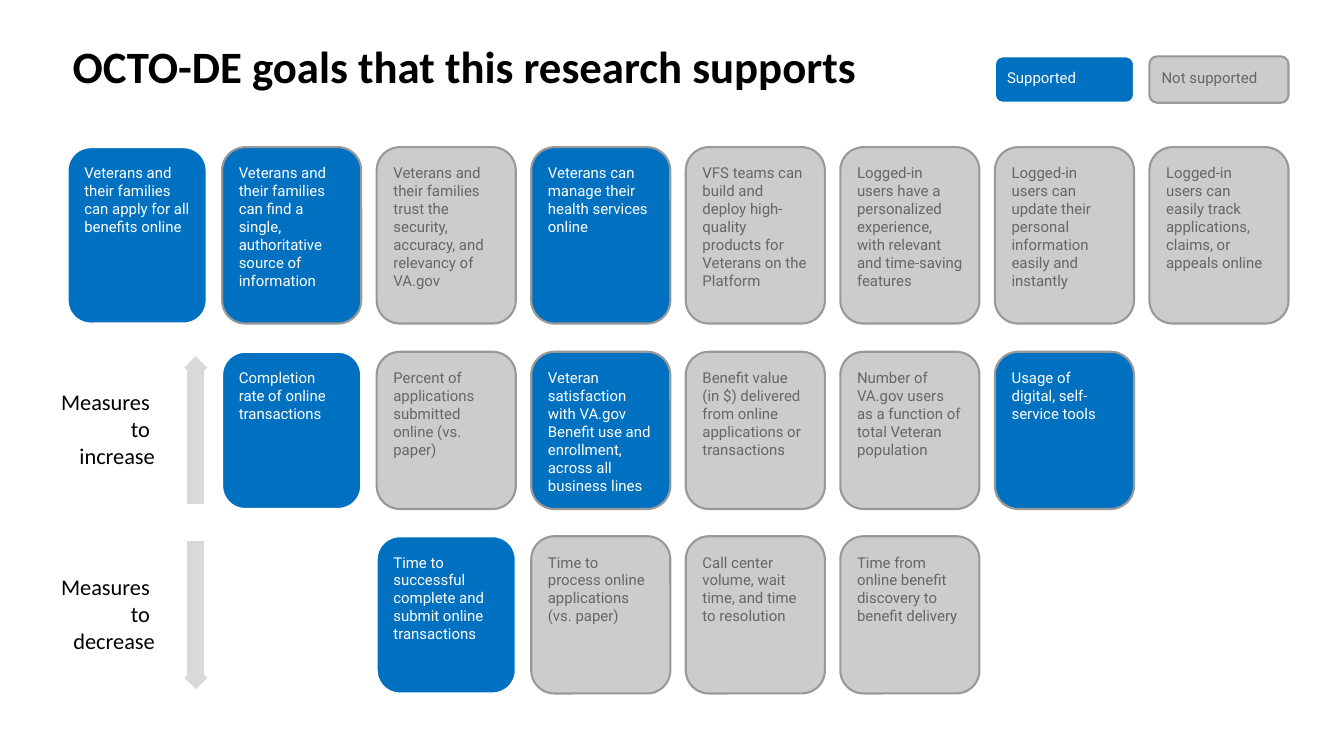
import copy

import pptx
import pptx.dml.color
import pptx.enum.shapes
import pptx.enum.text
import pptx.oxml.ns
import pptx.util

COLORS = {"blue": "0070C0", "white": "FFFFFF", "grey": "CCCCCC", "outline": "999999",
          "muted": "666666", "arrow": "D9D9D9", "black": "000000"}

# Card states: fill, line, text
STATES = {"supported": ("blue", "white", "white"),
          "outlined": ("blue", "outline", "white"),
          "unsupported": ("grey", "outline", "muted")}

# Grid: eight columns, and named rows as (top, height) in inches
LEFT, PITCH, CARD_WIDTH = 0.67, (11.4 - 0.67) / 7, 1.38
ROWS = {"title": (0.33, 0.92), "legend": (0.56, 0.46), "goals": (1.46, 1.75),
        "increase": (3.49, 1.56), "decrease": (5.32, 1.56)}

CARDS = {
    "legend": (6, [("supported", "Supported"), ("unsupported", "Not supported")]),
    "goals": (0, [
        ("supported", "Veterans and their families can apply for all benefits online"),
        ("outlined", "Veterans and their families can find a single, authoritative source of information"),
        ("unsupported", "Veterans and their families trust the security, accuracy, and relevancy of VA.gov"),
        ("outlined", "Veterans can manage their health services online"),
        ("unsupported", "VFS teams can build and deploy high-quality products for Veterans on the Platform"),
        ("unsupported", "Logged-in users have a personalized experience, with relevant and time-saving features"),
        ("unsupported", "Logged-in users can update their personal information easily and instantly"),
        ("unsupported", "Logged-in users can easily track applications, claims, or appeals online")]),
    "increase": (1, [
        ("supported", "Completion rate of online transactions"),
        ("unsupported", "Percent of applications submitted online (vs. paper)"),
        ("outlined", "Veteran satisfaction with VA.gov\nBenefit use and enrollment, across all business lines"),
        ("unsupported", "Benefit value (in $) delivered from online applications or transactions"),
        ("unsupported", "Number of VA.gov users as a function of total Veteran population"),
        ("outlined", "Usage of digital, self-service tools")]),
    "decrease": (2, [
        ("supported", "Time to successful complete and submit online transactions"),
        ("unsupported", "Time to process online applications (vs. paper)"),
        ("unsupported", "Call center volume, wait time, and time to resolution"),
        ("unsupported", "Time from online benefit discovery to benefit delivery")]),
}

# Row, shaft start and end as shares of the row, tip rotation
MEASURES = [("increase", 0.97, 0.1, 315), ("decrease", 0.03, 0.9, 135)]


def rgb(name):
    return pptx.dml.color.RGBColor.from_string(COLORS[name])


def write(frame, text, font="Roboto", size=10.7, color="black", bold=False,
          align="LEFT", inset=0.1):
    """Fill a text frame; \\n starts a paragraph and \\v breaks a line."""
    frame.word_wrap = True
    frame.vertical_anchor = pptx.enum.text.MSO_ANCHOR.TOP
    frame.margin_left = frame.margin_right = pptx.util.Inches(inset)
    frame.margin_top = frame.margin_bottom = pptx.util.Inches(inset)
    frame.text = text
    for paragraph in frame.paragraphs:
        paragraph.alignment = getattr(pptx.enum.text.PP_ALIGN, align)
        for run in paragraph.runs:
            run.font.name = font
            run.font.size = pptx.util.Pt(size)
            run.font.bold = bold
            run.font.color.rgb = rgb(color)
        # Line breaks take the size of the text around them
        for line_break in paragraph._p.findall(pptx.oxml.ns.qn("a:br")):
            line_break.append(copy.deepcopy(paragraph.runs[0].font._rPr))


class GoalSlide:
    def __init__(self, deck):
        self.slide = deck.slides.add_slide(deck.slide_layouts[5])
        self.shapes = self.slide.shapes

    def x(self, column):
        return pptx.util.Inches(LEFT + column * PITCH)

    def y(self, row, share=0):
        top, height = ROWS[row]
        return pptx.util.Inches(top + share * height)

    def title(self, text):
        heading = self.shapes.title
        heading.left, heading.top = self.x(0), self.y("title")
        heading.width = self.x(7.17) - self.x(0)
        heading.height = pptx.util.Inches(ROWS["title"][1])
        write(heading.text_frame, text, font="Calibri", size=32, bold=True, inset=0.05)
        heading.text_frame.auto_size = pptx.enum.text.MSO_AUTO_SIZE.NONE

    def block(self, kind, left, top, width, height, fill):
        shape = self.shapes.add_shape(kind, left, top, width, height)
        shape.shadow.inherit = False
        shape.fill.solid()
        shape.fill.fore_color.rgb = rgb(fill)
        shape.line.fill.background()
        return shape

    def card(self, row, column, state, text):
        fill, line, ink = STATES[state]
        card = self.block(pptx.enum.shapes.MSO_SHAPE.ROUNDED_RECTANGLE,
                          self.x(column), self.y(row), pptx.util.Inches(CARD_WIDTH),
                          pptx.util.Inches(ROWS[row][1]), fill)
        card.line.color.rgb = rgb(line)
        card.line.width = pptx.util.Pt(1.5)
        write(card.text_frame, text, color=ink)

    def label(self, row, text):
        label = self.shapes.add_textbox(self.x(-0.33), self.y(row, 0.15),
                                        self.x(0.98) - self.x(0),
                                        self.y(row, 0.76) - self.y(row))
        write(label.text_frame, text, font="Calibri", size=16, align="RIGHT", inset=0.13)

    def arrow(self, row, start, end, rotation):
        x, tip_y = self.x(0.83), self.y(row, end)
        shaft = self.shapes.add_connector(pptx.enum.shapes.MSO_CONNECTOR.STRAIGHT,
                                          x, self.y(row, start), x, tip_y)
        shaft.line.color.rgb = rgb("arrow")
        shaft.line.width = pptx.util.Pt(12)
        shaft._element.spPr.append(pptx.oxml.parse_xml(
            "<a:effectLst %s/>" % pptx.oxml.ns.nsdecls("a")))
        side = pptx.util.Inches(0.16)
        tip = self.block(pptx.enum.shapes.MSO_SHAPE.RECTANGLE,
                         x - side // 2, tip_y - side // 2, side, side, "arrow")
        tip.rotation = rotation


def main():
    deck = pptx.Presentation()
    deck.slide_width, deck.slide_height = pptx.util.Inches(13.33), pptx.util.Inches(7.5)
    goals = GoalSlide(deck)
    goals.title("OCTO-DE goals that this research supports")

    # Legend, goals and measures
    for row, (first_column, cards) in CARDS.items():
        for column, (state, text) in enumerate(cards, first_column):
            goals.card(row, column, state, text)

    # Direction of each row of measures
    for row, start, end, rotation in MEASURES:
        goals.arrow(row, start, end, rotation)
        goals.label(row, f"Measures \vto \v{row}")

    deck.save("out.pptx")


if __name__ == "__main__":
    main()
